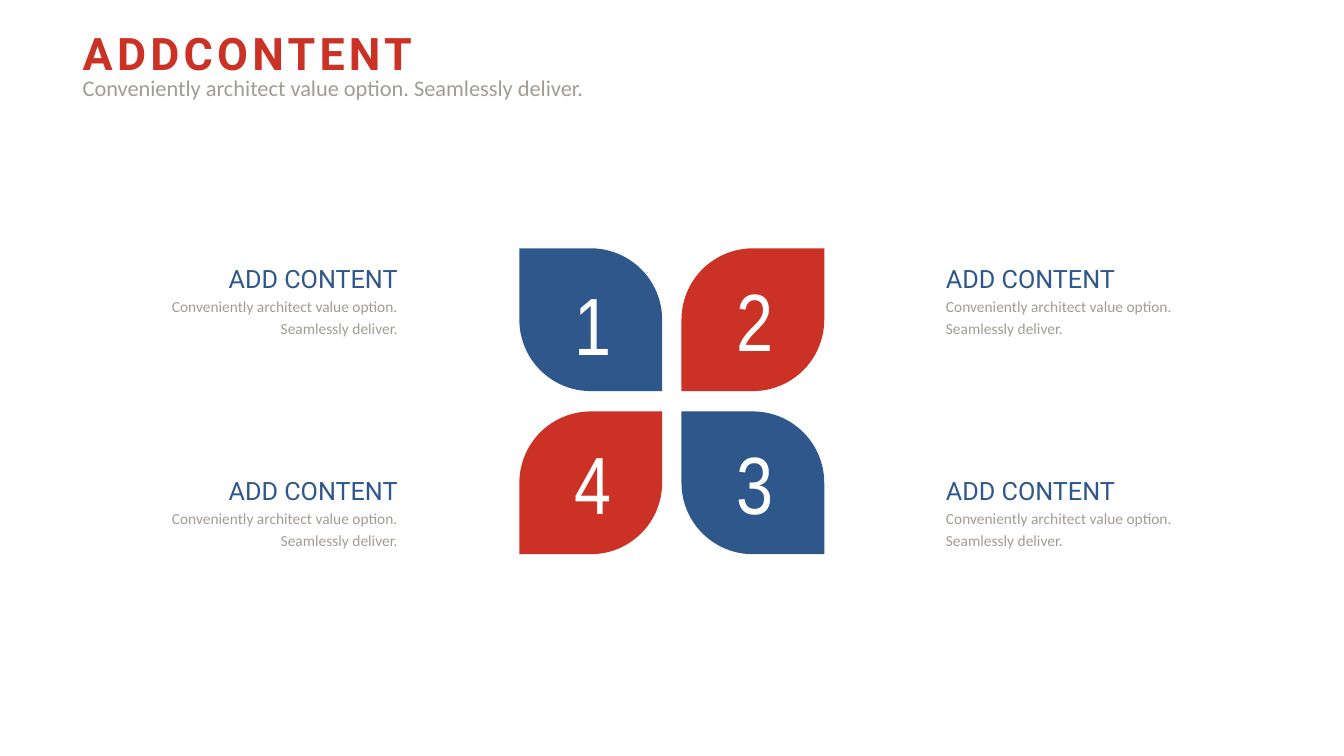
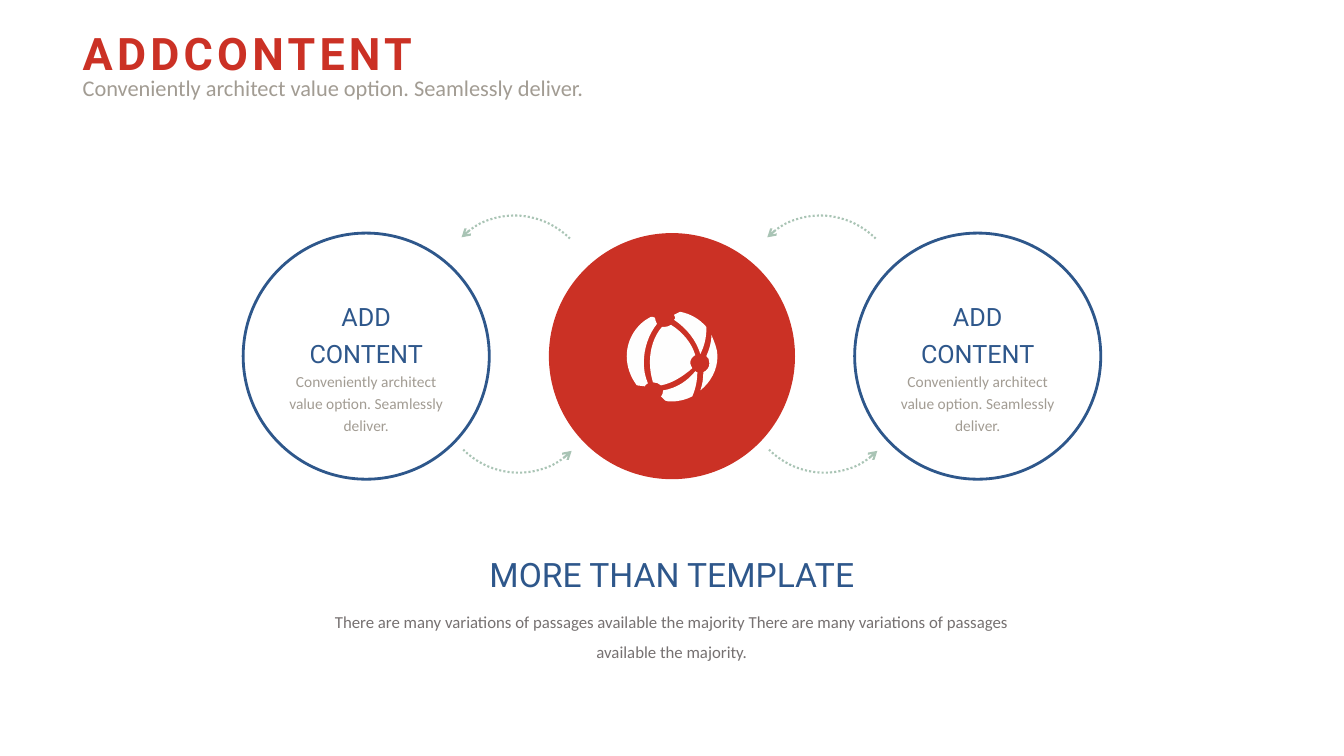
from lxml import etree
from pptx import Presentation
from pptx.dml.color import RGBColor
from pptx.enum import dml, shapes, text
from pptx.oxml import ns
from pptx.util import Pt

RED = RGBColor(0xCB, 0x31, 0x25)
BLUE = RGBColor(0x2E, 0x57, 0x8B)
TAUPE = RGBColor(0xA2, 0x9C, 0x93)
GRAY = RGBColor(0x76, 0x71, 0x71)
SAGE = RGBColor(0xA9, 0xC4, 0xB5)
WHITE = RGBColor(0xFF, 0xFF, 0xFF)
NEAR_WHITE = RGBColor(0xFE, 0xFE, 0xFE)

LEFT, CENTER, RIGHT = text.PP_ALIGN.LEFT, text.PP_ALIGN.CENTER, text.PP_ALIGN.RIGHT
SHAPE = shapes.MSO_SHAPE
TAGLINE = "Conveniently architect value option. Seamlessly deliver."

# Text styles: font name, size, colour
TITLE = ("Roboto", 32, RED)
SUBTITLE = ("Calibri", 16, TAUPE)
HEADING = ("Roboto", 18, BLUE)
BODY = ("Calibri", 11, TAUPE)
NUMBER = ("Arial Narrow", 58, WHITE)
CLOSING_TITLE = ("Roboto", 24, BLUE)
CLOSING_BODY = ("Calibri", 12, GRAY)

# Globe patches in hundredths of an inch: start, then Bezier triples
GLOBE_PATCHES = [
    [(68, 43), (65, 45), (63, 47), (63, 51), (63, 52), (64, 54), (65, 56),
     (56, 64), (45, 71), (34, 73), (32, 71), (29, 70), (26, 70),
     (24, 63), (23, 57), (23, 50), (23, 37), (27, 24), (35, 15),
     (36, 15), (37, 15), (38, 15), (40, 15), (42, 14), (44, 13),
     (55, 20), (64, 30), (68, 43)],
    [(48, 6), (48, 6), (48, 7), (47, 8), (59, 16), (69, 28), (73, 42),
     (77, 34), (79, 26), (79, 17), (79, 16), (79, 16), (79, 15),
     (72, 7), (63, 2), (53, 0), (51, 1), (49, 2), (47, 3),
     (48, 4), (48, 5), (48, 6)],
    [(21, 71), (18, 64), (17, 58), (17, 50), (17, 36), (22, 22), (30, 12),
     (29, 10), (28, 8), (28, 6), (27, 5), (25, 5), (24, 5),
     (10, 12), (0, 27), (0, 44), (0, 55), (4, 65), (10, 73),
     (13, 73), (15, 74), (18, 74), (18, 73), (19, 72), (21, 71)],
    [(84, 23), (84, 31), (82, 37), (79, 44), (81, 45), (82, 48), (82, 51),
     (82, 55), (80, 58), (76, 60), (76, 66), (75, 73), (73, 78),
     (83, 70), (90, 58), (90, 44), (90, 37), (87, 30), (84, 23)],
    [(68, 59), (60, 69), (49, 76), (36, 78), (36, 78), (36, 79), (36, 79),
     (36, 81), (35, 83), (34, 84), (36, 86), (37, 87), (38, 88),
     (40, 89), (42, 89), (44, 89), (52, 89), (59, 87), (65, 84),
     (68, 77), (70, 69), (70, 60), (70, 60), (69, 60), (68, 59)],
]


def add_text(slide, box, lines, align=LEFT, spacing=None, wrap=True):
    """Add a text box; lines holds (words, style) pairs."""
    frame = slide.shapes.add_textbox(*map(Pt, box)).text_frame
    frame.word_wrap = wrap
    frame.auto_size = text.MSO_AUTO_SIZE.SHAPE_TO_FIT_TEXT
    frame.text = "\n".join(words for words, _ in lines)
    for paragraph, (_, style) in zip(frame.paragraphs, lines):
        paragraph.alignment = align
        paragraph.line_spacing = spacing
        font = paragraph.runs[0].font
        font.name, size, font.color.rgb = style
        font.size = Pt(size)
    return frame


def paint(shape, fill=None, line=None, width=1):
    shape.shadow.inherit = False
    if fill is None:
        shape.fill.background()
    else:
        shape.fill.solid()
        shape.fill.fore_color.rgb = fill
    if line is None:
        shape.line.fill.background()
    else:
        shape.line.color.rgb = line
        shape.line.width = Pt(width)


def add_shape(slide, kind, box, **colours):
    shape = slide.shapes.add_shape(kind, *map(Pt, box))
    paint(shape, **colours)
    return shape


def add_titled_slide(presentation):
    slide = presentation.slides.add_slide(presentation.slide_layouts[6])
    title = add_text(slide, (52, 7.3, 337, 49), [("ADDCONTENT", TITLE)], spacing=1.2)
    run = title.paragraphs[0].runs[0]
    run.font.bold = True
    run._r.get_or_add_rPr().set("spc", "300")
    add_text(slide, (52, 49.3, 443.5, 26.6), [(TAGLINE, SUBTITLE)])
    return slide


def add_caption(slide, box, align):
    add_text(slide, box, [("ADD CONTENT", HEADING), (TAGLINE, BODY)], align, 1.2)


def add_leaf(slide, box, number, fill, rounded, drop):
    left, top, _, _ = box
    leaf = add_shape(slide, SHAPE.ROUND_2_DIAG_RECTANGLE, box, fill=fill)
    leaf.adjustments[0], leaf.adjustments[1] = rounded
    add_text(slide, (left + 32.2, top + drop, 38.6, 77.8), [(number, NUMBER)],
             CENTER, wrap=False)


def add_flower_slide(presentation):
    slide = add_titled_slide(presentation)
    left, top, size, pitch = 371, 177.4, 102, 115.8

    # Leaves, numbered clockwise
    for number, column, row in (("1", 0, 0), ("2", 1, 0), ("3", 1, 1), ("4", 0, 1)):
        blue = column == row
        add_leaf(slide, (left + column * pitch, top + row * (pitch + 0.7), size, size),
                 number, BLUE if blue else RED, (0, 0.5) if blue else (0.5, 0),
                 14.8 if number == "1" else 12.2)

    # Captions on both sides
    for caption_left, align in ((83.2, RIGHT), (668.6, LEFT)):
        for caption_top in (180, 331.5):
            add_caption(slide, (caption_left, caption_top, 208, 64), align)


def add_globe(slide, left, top):
    builder = None
    for patch in GLOBE_PATCHES:
        if builder is None:
            builder = slide.shapes.build_freeform(*patch[0], scale=Pt(0.72))
        else:
            builder.move_to(*patch[0])
        builder.add_line_segments(patch[1:], close=True)
    globe = builder.convert_to_shape(Pt(left), Pt(top))
    paint(globe, fill=NEAR_WHITE)

    # Turn each three control points into one Bezier curve
    outline = next(globe._element.iter(ns.qn("a:path")))
    segments = outline.findall(ns.qn("a:lnTo"))
    for index in range(0, len(segments), 3):
        curve = etree.Element(ns.qn("a:cubicBezTo"))
        segments[index].addprevious(curve)
        for segment in segments[index:index + 3]:
            curve.append(segment[0])
            outline.remove(segment)


def add_arc_arrow(slide, box, rotation):
    arc = add_shape(slide, SHAPE.ARC, box, line=SAGE, width=1.5)
    arc.rotation = rotation
    arc.line.dash_style = dml.MSO_LINE.ROUND_DOT
    etree.SubElement(arc.line._get_or_add_ln(), ns.qn("a:headEnd"), type="arrow")


def add_cycle_slide(presentation):
    slide = add_titled_slide(presentation)
    left, top, size, pitch = 173.7, 166.5, 175.8, 218.4

    # Outer circles with captions
    for column in (0, 2):
        x = left + column * pitch
        add_shape(slide, SHAPE.OVAL, (x, top, size, size), line=BLUE, width=2)
        add_caption(slide, (x + 25.6, top + 41.1, 124.6, 106.6), CENTER)

    # Centre circle with globe
    add_shape(slide, SHAPE.OVAL, (left + pitch, top, size, size), fill=RED)
    add_globe(slide, left + pitch + 55.6, top + 56.2)

    # Arrows below and above each gap
    for column in (0, 1):
        for arc_top, rotation in ((227.5, 134.9), (153.2, 314.9)):
            add_arc_arrow(slide, (315 + column * pitch, arc_top, 108, 110.9), rotation)

    # Closing text
    add_text(slide, (305.3, 389.5, 349.2, 36.7),
             [("MORE THAN TEMPLATE", CLOSING_TITLE)], CENTER, 1.1)
    add_text(slide, (212.4, 426.2, 535, 49),
             [("There are many variations of passages available the majority "
               "There are many variations of passages available the majority.",
               CLOSING_BODY)], CENTER, 1.5)


def main():
    presentation = Presentation()
    presentation.slide_width, presentation.slide_height = Pt(960), Pt(540)
    add_flower_slide(presentation)
    add_cycle_slide(presentation)
    presentation.save("out.pptx")


if __name__ == "__main__":
    main()
